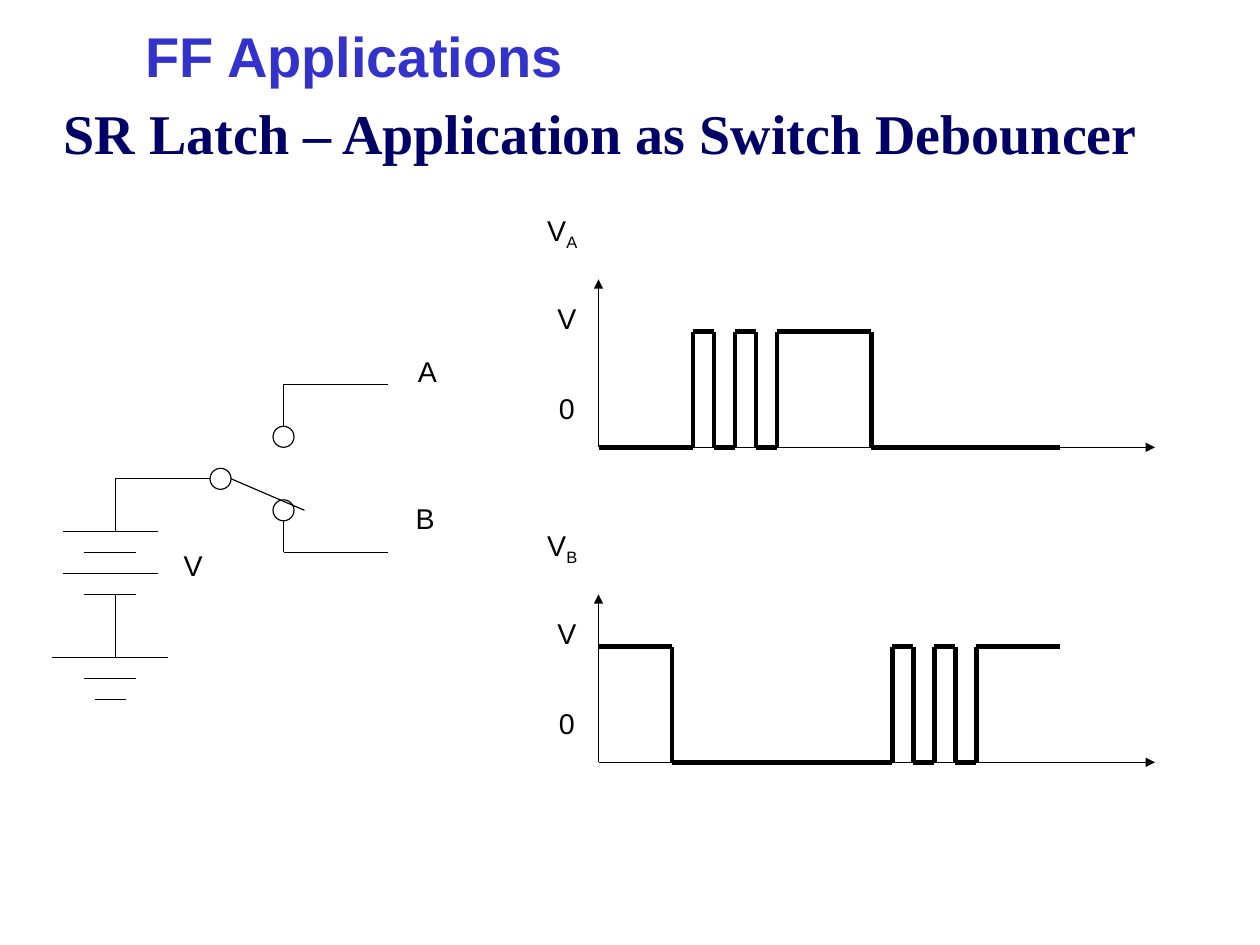
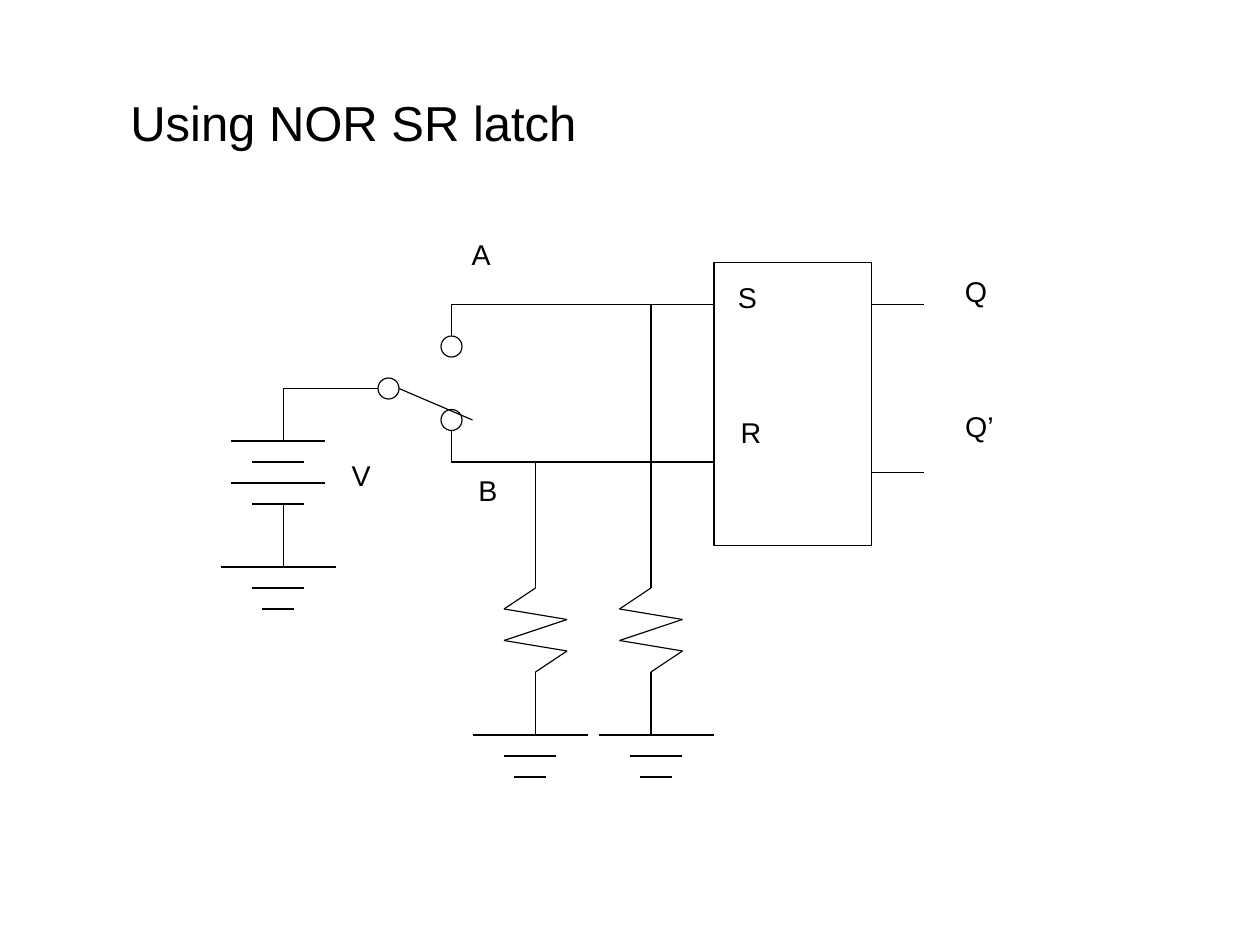
from itertools import pairwise

from lxml.etree import SubElement
from pptx import Presentation
from pptx.dml.color import RGBColor
from pptx.enum.shapes import MSO_CONNECTOR as Connector, MSO_SHAPE as Shape
from pptx.enum.text import MSO_ANCHOR as Anchor, PP_ALIGN as Align
from pptx.oxml.ns import qn
from pptx.util import Inches, Pt

COLORS = {"ink": "000000", "title": "3333CC", "heading": "000066"}
PAGE_WIDTH, PAGE_HEIGHT = 28 / 2.54, 21 / 2.54
GRID = PAGE_HEIGHT / 90
THIN, THICK = 0.75, 3
FRAME = {"word_wrap": True, "vertical_anchor": Anchor.MIDDLE}
LABEL_FRAME = FRAME | dict.fromkeys(
    ("margin_left", "margin_right", "margin_top", "margin_bottom"), 0)
LABEL_FONT = {"name": "Arial", "size": Pt(18), "bold": False}
TITLE_FONT = {"name": "Arial", "size": Pt(35.3), "bold": True}
HEADING_FONT = TITLE_FONT | {"name": "Times New Roman"}
PLAIN_TITLE_FONT = LABEL_FONT | {"size": Pt(30.9)}


def color(name):
    """Return the named colour."""
    return RGBColor.from_string(COLORS[name])


def grid(units):
    """Convert grid units to a length."""
    return Inches(units * GRID)


def apply(target, values):
    """Set every attribute given in a dict."""
    for name, value in values.items():
        setattr(target, name, value)


def place(box, left, top, width, height):
    """Move and size a box, in inches."""
    apply(box, {"left": Inches(left), "top": Inches(top),
                "width": Inches(width), "height": Inches(height)})


def write(box, text, font, ink, align=Align.LEFT, frame=FRAME):
    """Fill a box with one formatted paragraph and return it."""
    apply(box.text_frame, frame)
    para = box.text_frame.paragraphs[0]
    apply(para, {"alignment": align, "line_spacing": 0.9})
    add_span(para, text, font, ink)
    return para


def add_span(para, text, font, ink):
    """Add a formatted, unkerned run to a paragraph and return it."""
    span = para.add_run()
    span.text = text
    apply(span.font, font)
    span.font.color.rgb = color(ink)
    span.font._element.set("kern", "0")
    return span


def add_page(deck, title, area, font, ink):
    """Add a page with a left-aligned title."""
    page = deck.slides.add_slide(deck.slide_layouts[5])
    place(page.shapes.title, *area)
    write(page.shapes.title, title, font, ink)
    return page


def add_label(page, text, center_x, center_y, subscript=""):
    """Centre a short label on a point given in inches."""
    box = page.shapes.add_textbox(0, 0, 0, 0)
    place(box, center_x - 0.3, center_y - 0.18, 0.6, 0.36)
    para = write(box, text, LABEL_FONT, "ink", Align.CENTER, LABEL_FRAME)
    if subscript:
        span = add_span(para, subscript, LABEL_FONT, "ink")
        span.font._element.set("baseline", "-25000")


def add_wire(page, *points, weight=THIN, arrow=False):
    """Join grid points with straight lines."""
    for start, end in pairwise(points):
        wire = page.shapes.add_connector(
            Connector.STRAIGHT, *map(grid, (*start, *end)))
        wire.line.color.rgb = color("ink")
        wire.line.width = Pt(weight)
        if arrow:
            SubElement(wire.line._get_or_add_ln(), qn("a:tailEnd"), type="triangle")
        SubElement(wire._element.spPr, qn("a:effectLst"))


def add_outline(page, kind, left, top, width, height):
    """Add an unfilled preset shape on the grid."""
    shape = page.shapes.add_shape(kind, *map(grid, (left, top, width, height)))
    shape.shadow.inherit = False
    shape.fill.background()
    shape.line.color.rgb = color("ink")
    shape.line.width = Pt(THIN)


def add_bars(page, center, row, widths):
    """Stack centred horizontal bars two grid rows apart."""
    for index, width in enumerate(widths):
        level = row + 2 * index
        add_wire(page, (center - width / 2, level), (center + width / 2, level))


def add_ground(page, center, row):
    """Draw a ground symbol."""
    add_bars(page, center, row, (11, 5, 3))


def add_switch(page, col, row, a_row, lead_end):
    """Draw a grounded battery feeding a two-way switch."""
    pivot, contact = col + 10, col + 16
    add_bars(page, col - 0.5, row, (9, 5, 9, 5))
    add_wire(page, (col, row + 6), (col, row + 12))
    add_ground(page, col - 0.5, row + 12)
    add_wire(page, (col, row), (col, row - 5), (pivot - 1, row - 5))
    for start, level in ((row - 10, a_row), (row - 1, row + 2)):
        add_wire(page, (contact, start), (contact, level), (lead_end, level))
    for x, y in ((pivot, row - 5), (contact, row - 9), (contact, row - 2)):
        add_outline(page, Shape.OVAL, x - 1, y - 1, 2, 2)
    add_wire(page, (pivot + 1, row - 5), (contact + 2, row - 2))


def add_waveform(page, name, row, edges, high):
    """Draw labelled axes and a signal that toggles at each edge."""
    col, end, swing = 57, 101, 11
    for tip in ((col, row - 16), (110, row)):
        add_wire(page, (col, row), tip, arrow=True)
    points = [(col, row - swing * high)]
    for edge in edges:
        points.append((edge, row - swing * high))
        high = not high
        points.append((edge, row - swing * high))
    points.append((end, row - swing * high))
    add_wire(page, *points, weight=THICK)
    base = row * GRID
    add_label(page, "V", 4.92, base - 1.89, name)
    add_label(page, "V", 4.96, base - 1.11)
    add_label(page, "0", 4.96, base - 0.32)


def add_resistor(page, col, row, ground_center):
    """Draw a pull-down resistor from a wire to ground."""
    zigzag = ((0, 56), (-3, 58), (3, 59), (-3, 61), (3, 62), (0, 64), (0, 70))
    add_wire(page, (col, row), *((col + step, level) for step, level in zigzag))
    add_ground(page, ground_center, 70)


def add_labels(page, labels):
    """Add labels from text and centre point."""
    for label in labels:
        add_label(page, *label)


def build_debouncer(deck):
    """Build the page on switch bounce."""
    page = add_page(deck, "FF Applications", (1.17, 0.23, 9.55, 0.58),
                    TITLE_FONT, "title")
    heading = page.shapes.add_textbox(0, 0, 0, 0)
    place(heading, 0.46, 0.83, 10.2, 0.73)
    write(heading, "SR Latch – Application as Switch Debouncer",
          HEADING_FONT, "heading")
    add_switch(page, col=11, row=50.6, a_row=36.6, lead_end=37)
    add_labels(page, (("V", 1.69, 4.96), ("A", 3.74, 3.27), ("B", 3.72, 4.55)))
    add_waveform(page, "A", 42.6, (66, 68, 70, 72, 74, 83), high=False)
    add_waveform(page, "B", 72.6, (64, 85, 87, 89, 91, 93), high=True)


def build_latch(deck):
    """Build the page on the NOR latch circuit."""
    page = add_page(deck, "Using NOR SR latch", (1.04, 0.81, 9, 0.57),
                    PLAIN_TITLE_FONT, "ink")
    add_switch(page, col=27, row=42, a_row=29, lead_end=68)
    add_outline(page, Shape.RECTANGLE, 68, 25, 15, 27)
    for row in (29, 45):
        add_wire(page, (83, row), (88, row))
    add_resistor(page, 51, 44, 50.5)
    add_resistor(page, 62, 29, 62.5)
    add_labels(page, (("V", 3.16, 4.18), ("A", 4.21, 2.24), ("B", 4.27, 4.31),
                      ("S", 6.54, 2.62), ("R", 6.57, 3.8),
                      ("Q", 8.54, 2.57), ("Q’", 8.57, 3.75)))


def main():
    """Build and save the deck."""
    deck = Presentation()
    apply(deck, {"slide_width": Inches(PAGE_WIDTH),
                 "slide_height": Inches(PAGE_HEIGHT)})
    build_debouncer(deck)
    build_latch(deck)
    deck.save("out.pptx")


if __name__ == "__main__":
    main()
